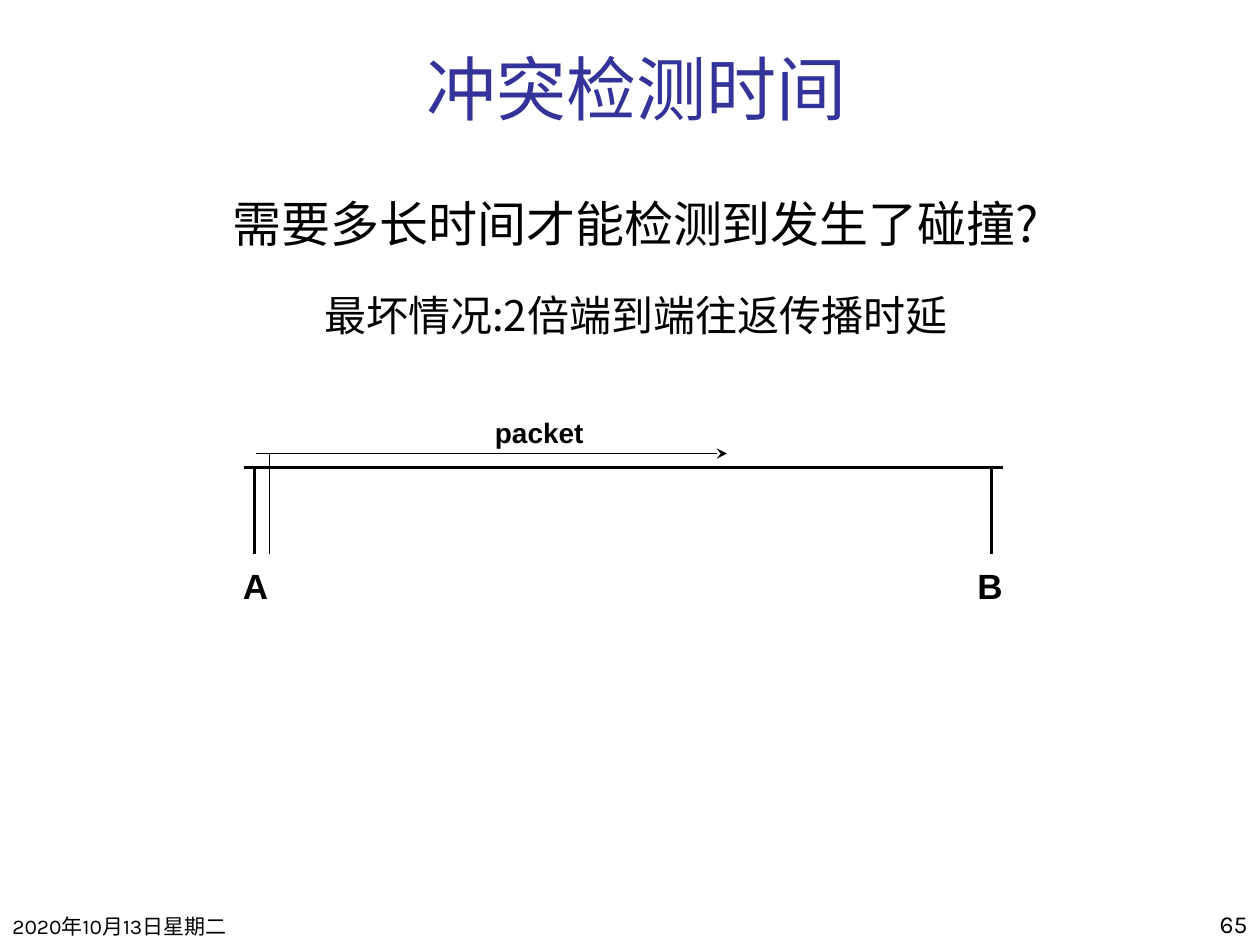
from lxml.etree import SubElement
from pptx import Presentation
from pptx.dml.color import RGBColor
from pptx.enum.shapes import MSO_CONNECTOR as Connector
from pptx.enum.text import MSO_ANCHOR as Anchor, PP_ALIGN as Align
from pptx.oxml.ns import qn
from pptx.util import Inches, Pt

COLORS = {"title": "333399", "ink": "000000", "paper": "FFFFFF"}
CJK_FONT = "Noto Sans CJK SC"

presentation = Presentation()
presentation.slide_width = Inches(10)
presentation.slide_height = Inches(7.5)
slide = presentation.slides.add_slide(presentation.slide_layouts[6])
slide.background.fill.solid()
slide.background.fill.fore_color.rgb = RGBColor.from_string(COLORS["paper"])


def add_text(box, lines, font, color="ink", align=Align.LEFT,
             anchor=Anchor.TOP, bold=False, wrap=True):
    """Add a text box; lines holds (text, size) pairs, one per paragraph."""
    shape = slide.shapes.add_textbox(*map(Inches, box))
    frame = shape.text_frame
    frame.word_wrap = wrap
    frame.vertical_anchor = anchor
    frame.text = "\n".join(text for text, _ in lines)
    for paragraph, (_, size) in zip(frame.paragraphs, lines):
        paragraph.alignment = align
        for run in paragraph.runs:
            run.font.name = font
            run.font.size = Pt(size)
            run.font.bold = bold
            run.font.color.rgb = RGBColor.from_string(COLORS[color])
            SubElement(run.font._element, qn("a:ea"), typeface=CJK_FONT)
    return frame


def add_line(start, end, width):
    line = slide.shapes.add_connector(
        Connector.STRAIGHT, *map(Inches, (*start, *end)))
    line.line.width = Pt(width)
    line.line.color.rgb = RGBColor.from_string(COLORS["ink"])
    SubElement(line._element.spPr, qn("a:effectLst"))
    return line


# Footer
footer_width, footer_height = 2.08, 0.5
footer_top = 7.5 - footer_height
add_text((0, footer_top, footer_width, footer_height),
         [("2020年10月13日星期二", 12)], "Karla", anchor=Anchor.BOTTOM)
add_text((10 - footer_width, footer_top, footer_width, footer_height),
         [("65", 14)], "Karla", align=Align.RIGHT, anchor=Anchor.BOTTOM)

# Title and question
add_text((0.83, 0.25, 8.44, 0.83), [("冲突检测时间", 40)], "Karla",
         color="title", align=Align.CENTER, anchor=Anchor.BOTTOM)
body = add_text((0.42, 1.58, 9.25, 5.58),
                [("需要多长时间才能检测到发生了碰撞?", 28),
                 ("最坏情况:2倍端到端往返传播时延", 24)],
                CJK_FONT, align=Align.CENTER)
for paragraph in body.paragraphs:
    paragraph.line_spacing = 0.8
body.paragraphs[1].space_before = Pt(27)

# Shared cable with a station at each end
cable_y, station_y = 3.7, 4.4
add_line((1.94, cable_y + 0.01), (7.96, cable_y + 0.01), 2)
for name, x, label_left in (("A", 2.02, 1.83), ("B", 7.87, 7.66)):
    add_line((x, cable_y), (x, station_y), 2)
    add_text((label_left, 4.43, 0.4, 0.43), [(name, 20)], "Arial",
             bold=True, wrap=False)

# Packet travelling from A towards B
packet_y = cable_y - 0.1
add_line((2.14, station_y), (2.14, packet_y), 1)
arrow = add_line((2.03, packet_y), (5.77, packet_y), 1)
SubElement(arrow.line._get_or_add_ln(), qn("a:tailEnd"), type="stealth")
add_text((3.83, 3.25, 0.91, 0.37), [("packet", 16)], "Arial",
         bold=True, wrap=False)

presentation.save("out.pptx")
